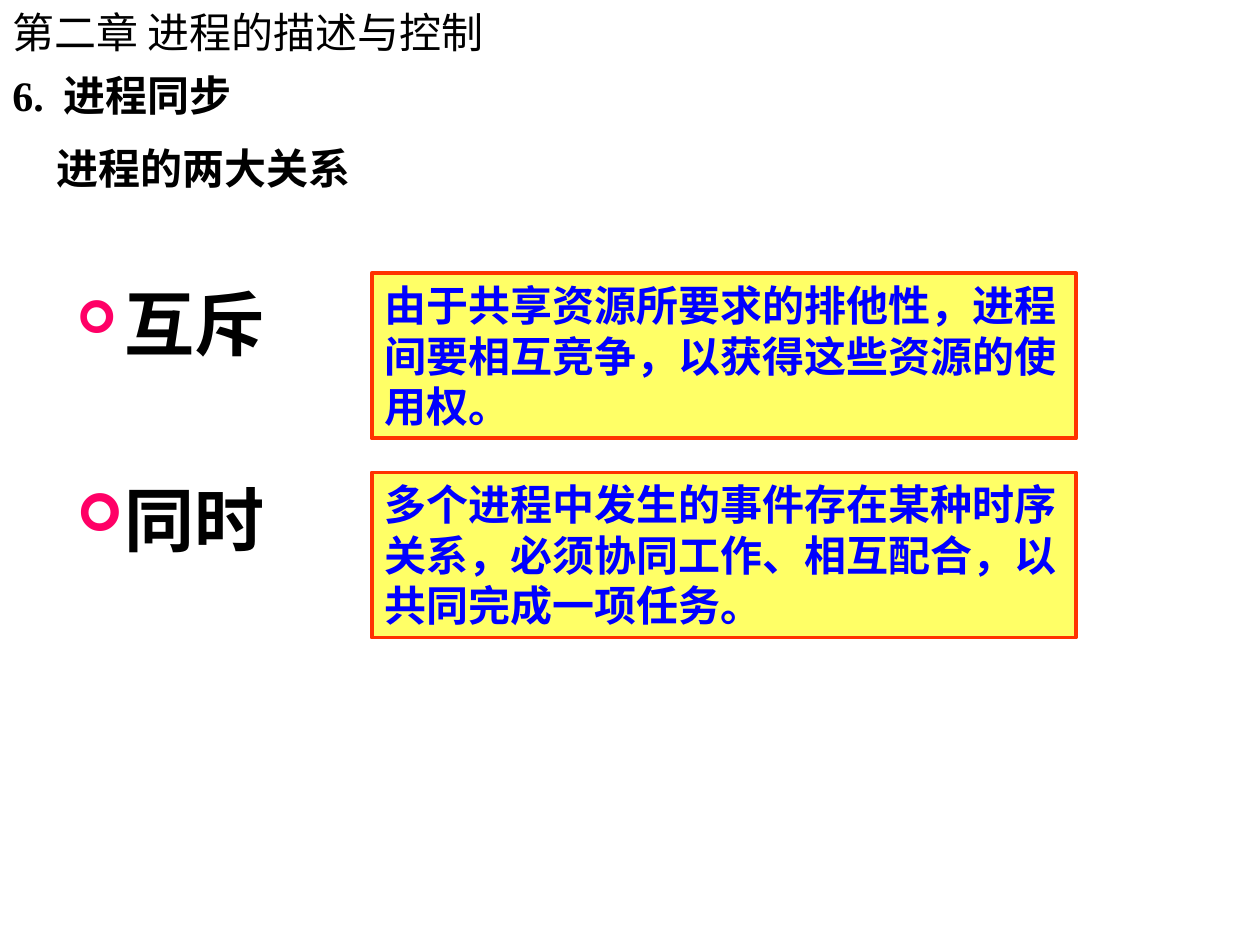
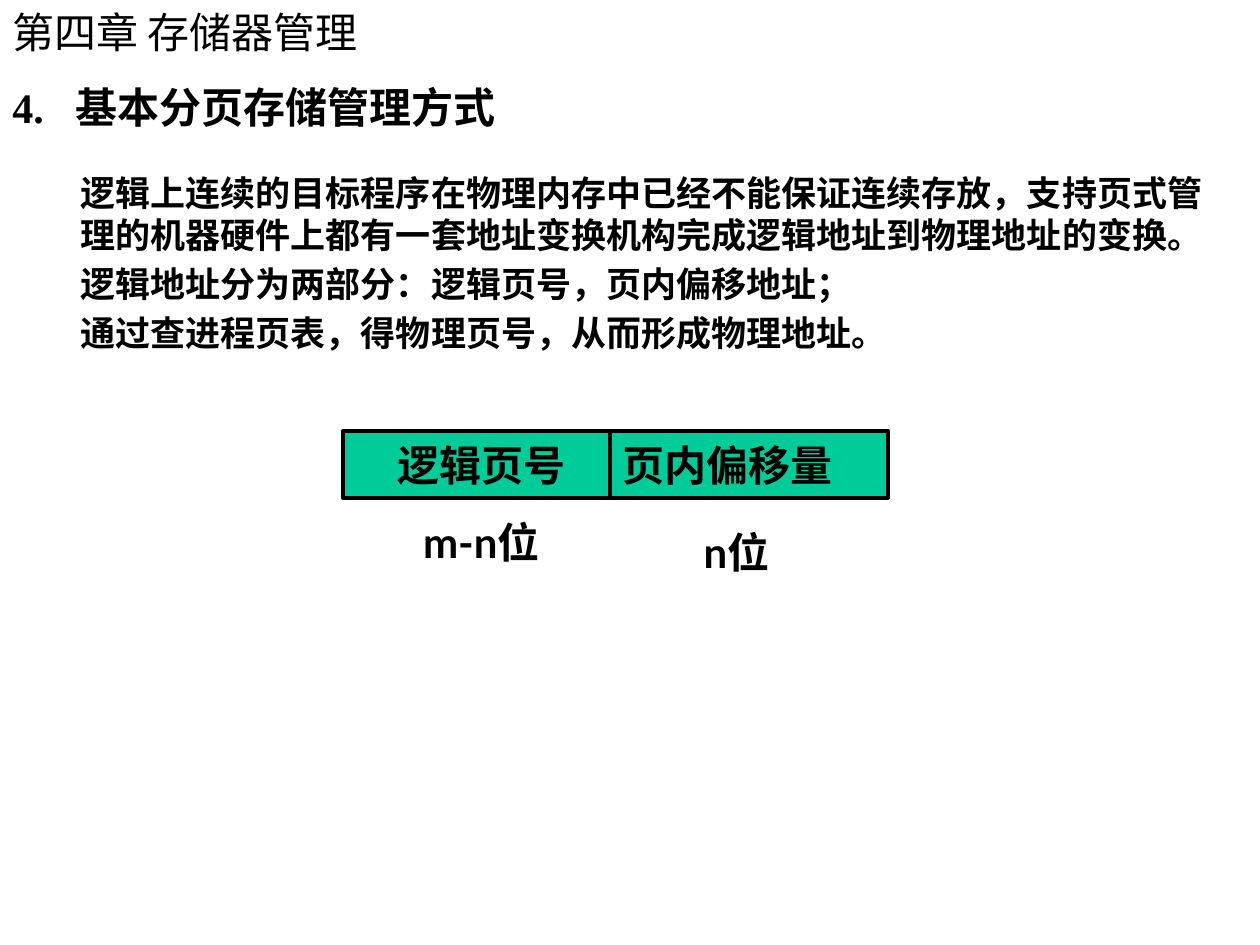
from dataclasses import dataclass

from lxml.etree import SubElement
from pptx import Presentation
from pptx.dml.color import RGBColor
from pptx.enum.shapes import MSO_CONNECTOR, MSO_SHAPE
from pptx.enum.text import MSO_ANCHOR, PP_ALIGN
from pptx.oxml.ns import qn
from pptx.util import Inches, Pt


@dataclass(frozen=True)
class Theme:
    ink: str = "000000"
    blue: str = "0000FF"
    yellow: str = "FFFF66"
    red: str = "FF3300"
    pink: str = "FF0066"
    green: str = "00CC99"
    serif: str = "Times New Roman"
    sans: str = "Lato"
    cjk: str = "Noto Sans CJK SC"
    small: int = 20
    base: int = 24
    large: int = 40
    line: float = 2.25


class Deck:
    def __init__(self, theme):
        self.theme = theme
        self.prs = Presentation()
        self.prs.slide_width, self.prs.slide_height = Inches(10), Inches(7.5)
        self.slide = None

    def page(self, title, head, top, tab):
        """Start a slide with its chapter title and a numbered heading."""
        self.slide = self.prs.slides.add_slide(self.prs.slide_layouts[6])
        self.text((0, 0, 10, 0.5), [title], font=self.theme.cjk, bold=False,
                  anchor=MSO_ANCHOR.MIDDLE)
        self.text((0, top, 10, 0.5), [head], tabs=[tab])

    def fill(self, shape, lines, font=None, size=None, color=None, bold=True,
              align=PP_ALIGN.LEFT, anchor=MSO_ANCHOR.TOP, gap=0, left=0,
              tabs=(), marks=()):
        """Write one paragraph per line; marks are bullet sizes in percent."""
        theme, frame = self.theme, shape.text_frame
        frame.word_wrap = True
        frame.vertical_anchor = anchor
        frame.text = "\n".join(lines)
        for i, para in enumerate(frame.paragraphs):
            para.alignment = align
            if i:
                para.space_before = Pt(gap)
            props = para._p.get_or_add_pPr()
            if left:
                props.set("marL", str(Inches(left)))
            if marks:
                self.mark(props, left, marks[i])
            if tabs:
                stops = SubElement(props, qn("a:tabLst"))
                for stop in tabs:
                    SubElement(stops, qn("a:tab"), pos=str(Inches(stop)), algn="l")
            for run in para.runs:
                run.font.name = font or theme.serif
                run.font.size = Pt(size or theme.base)
                run.font.bold = bold
                run.font.color.rgb = RGBColor.from_string(color or theme.ink)
                SubElement(run._r.get_or_add_rPr(), qn("a:ea"), typeface=theme.cjk)

    def mark(self, props, left, size):
        """Add a hanging arrow bullet."""
        props.set("indent", str(-Inches(left)))
        tint = SubElement(props, qn("a:buClr"))
        SubElement(tint, qn("a:srgbClr"), val=self.theme.pink)
        SubElement(props, qn("a:buSzPct"), val=str(size * 1000))
        SubElement(props, qn("a:buFont"), typeface="Wingdings")
        SubElement(props, qn("a:buChar"), char="➢")

    def text(self, area, lines, **style):
        box = self.slide.shapes.add_textbox(*map(Inches, area))
        self.fill(box, lines, **style)

    def panel(self, area, line, back, edge, **style):
        box = self.slide.shapes.add_shape(MSO_SHAPE.RECTANGLE, *map(Inches, area))
        box.shadow.inherit = False
        box.fill.solid()
        box.fill.fore_color.rgb = RGBColor.from_string(back)
        box.line.color.rgb = RGBColor.from_string(edge)
        box.line.width = Pt(self.theme.line)
        self.fill(box, [line], font=self.theme.sans, **style)

    def rule(self, *ends):
        line = self.slide.shapes.add_connector(MSO_CONNECTOR.STRAIGHT, *map(Inches, ends))
        line.line.color.rgb = RGBColor.from_string(self.theme.ink)
        line.line.width = Pt(self.theme.line)
        SubElement(line._element.spPr, qn("a:effectLst"))


def sync(deck):
    theme = deck.theme
    deck.page("第二章 进程的描述与控制", "6.\t进程同步", 0.5, 0.41)
    deck.text((0.51, 2.18, 9.25, 3.14), ["互斥", "同时"], size=theme.large,
              left=0.38, gap=64, marks=(65, 75))
    notes = ("由于共享资源所要求的排他性，进程间要相互竞争，以获得这些资源的使用权。",
             "多个进程中发生的事件存在某种时序关系，必须协同工作、相互配合，以共同完成一项任务。")
    for i, note in enumerate(notes):
        deck.panel((2.95, 2.17 + i * 1.58, 5.59, 1.31), note, theme.yellow,
                   theme.red, color=theme.blue)
    deck.text((0.35, 1.08, 3.16, 0.5), ["进程的两大关系"], anchor=MSO_ANCHOR.MIDDLE)


def paging(deck):
    theme = deck.theme
    deck.page("第四章 存储器管理", "4.\t基本分页存储管理方式", 0.6, 0.5)
    deck.panel((2.72, 3.42, 4.33, 0.53), "\t逻辑页号\t页内偏移量", theme.green,
               theme.ink, anchor=MSO_ANCHOR.MIDDLE, tabs=(0.34, 2.12))
    deck.rule(4.84, 3.42, 4.84, 3.97)
    for area, bits in (((3.11, 4.05, 1.42, 0.5), "m-n位"),
                       ((5.47, 4.13, 0.75, 0.5), "n位")):
        deck.text(area, [bits], font=theme.sans, align=PP_ALIGN.CENTER)
    deck.text((0.04, 1.31, 9.81, 1.65), [
        "逻辑上连续的目标程序在物理内存中已经不能保证连续存放，支持页式管理的机器硬件上都有一套地址变换机构完成逻辑地址到物理地址的变换。",
        "逻辑地址分为两部分：逻辑页号，页内偏移地址；",
        "通过查进程页表，得物理页号，从而形成物理地址。",
    ], font=theme.cjk, size=theme.small, left=0.5, gap=4)


def main():
    deck = Deck(Theme())
    sync(deck)
    paging(deck)
    deck.prs.save("out.pptx")


if __name__ == "__main__":
    main()
